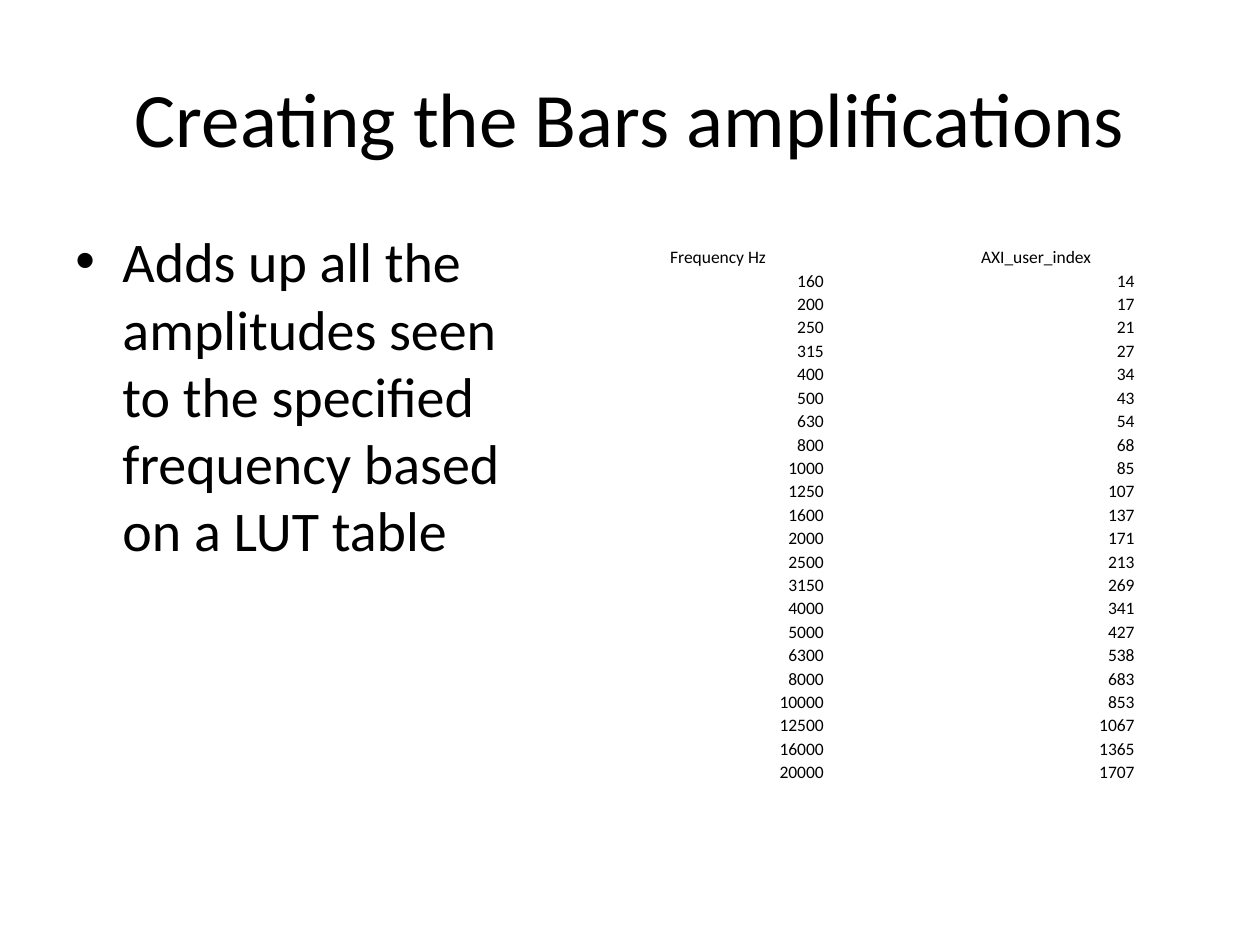
from dataclasses import dataclass

from lxml import etree
from pptx import Presentation
from pptx import util as u
from pptx.dml import color
from pptx.enum import text
from pptx.oxml import ns

FONT = "Calibri"
BLACK = "000000"
HEADERS = ("Frequency Hz", "AXI_user_index")
LUT = (
    (160, 14), (200, 17), (250, 21), (315, 27), (400, 34), (500, 43),
    (630, 54), (800, 68), (1000, 85), (1250, 107), (1600, 137),
    (2000, 171), (2500, 213), (3150, 269), (4000, 341), (5000, 427),
    (6300, 538), (8000, 683), (10000, 853), (12500, 1067),
    (16000, 1365), (20000, 1707),
)


@dataclass
class TextBox:
    """A text box with its place in centimetres."""
    words: str
    left: float
    top: float
    width: float
    height: float
    size: int
    align: text.PP_ALIGN = text.PP_ALIGN.LEFT
    anchor: text.MSO_ANCHOR = text.MSO_ANCHOR.TOP


def style(p, size: int, hex_color: str = BLACK) -> None:
    """Format every run of a paragraph."""
    for r in p.runs:
        r.font.name = FONT
        r.font.size = u.Pt(size)
        r.font.color.rgb = color.RGBColor.from_string(hex_color)


def add_text(s, box: TextBox):
    """Draw a text box and return its paragraph."""
    sp = s.shapes.add_textbox(u.Cm(box.left), u.Cm(box.top),
                              u.Cm(box.width), u.Cm(box.height))
    tf = sp.text_frame
    tf.word_wrap = True
    tf.vertical_anchor = box.anchor
    tf.text = box.words
    p = tf.paragraphs[0]
    p.alignment = box.align
    style(p, box.size)
    return p


def add_bullet(p, indent: u.Length) -> None:
    """Give a paragraph a hanging bullet and relative space before it."""
    ppr = p._p.get_or_add_pPr()
    ppr.set("marL", str(indent))
    ppr.set("indent", str(-indent))
    before = etree.SubElement(ppr, ns.qn("a:spcBef"))
    etree.SubElement(before, ns.qn("a:spcPct"), val="20000")
    etree.SubElement(ppr, ns.qn("a:buFont"), typeface="Arial")
    etree.SubElement(ppr, ns.qn("a:buChar"), char="•")


def fill_cell(cell, words: str, align: text.PP_ALIGN, size: int = 10) -> None:
    """Write one unfilled table cell with tight margins."""
    cell.fill.background()
    cell.margin_left = cell.margin_right = cell.margin_top = u.Cm(0.02)
    cell.margin_bottom = 0
    cell.vertical_anchor = text.MSO_ANCHOR.BOTTOM
    p = cell.text_frame.paragraphs[0]
    if words:
        p.text = words
        p.alignment = align
        style(p, size)
    else:
        etree.SubElement(p._p, ns.qn("a:endParaRPr"), sz=str(size * 100))


def add_lut(s) -> None:
    """Draw the lookup table with an empty column between its two columns."""
    rows = [HEADERS, *LUT]
    width, height, header_height = u.Cm(9.4), u.Cm(11.28), u.Cm(0.89)
    table = s.shapes.add_table(len(rows), 3, u.Cm(13.49), u.Cm(4.52),
                               width, height).table
    table.first_row = table.horz_banding = False
    for col in table.columns:
        col.width = width // 3
    for i, (frequency, index) in enumerate(rows):
        header = i == 0
        table.rows[i].height = (header_height if header
                                else (height - header_height) // len(LUT))
        align = text.PP_ALIGN.LEFT if header else text.PP_ALIGN.RIGHT
        for j, value in enumerate((frequency, "", index)):
            fill_cell(table.cell(i, j), str(value), align)


def main() -> None:
    """Build and save the slide."""
    prs = Presentation()
    prs.slide_width, prs.slide_height = u.Cm(25.4), u.Cm(19.05)
    s = prs.slides.add_slide(prs.slide_layouts[6])
    add_text(s, TextBox("Creating the Bars amplifications",
                        1.27, 0.76, 22.86, 3.18, 44,
                        text.PP_ALIGN.CENTER, text.MSO_ANCHOR.MIDDLE))
    body = add_text(s, TextBox(
        "Adds up all the amplitudes seen to the specified frequency "
        "based on a LUT table", 1.27, 4.45, 9.63, 12.57, 32))
    add_bullet(body, u.Cm(0.95))
    add_lut(s)
    prs.save("out.pptx")


main()
